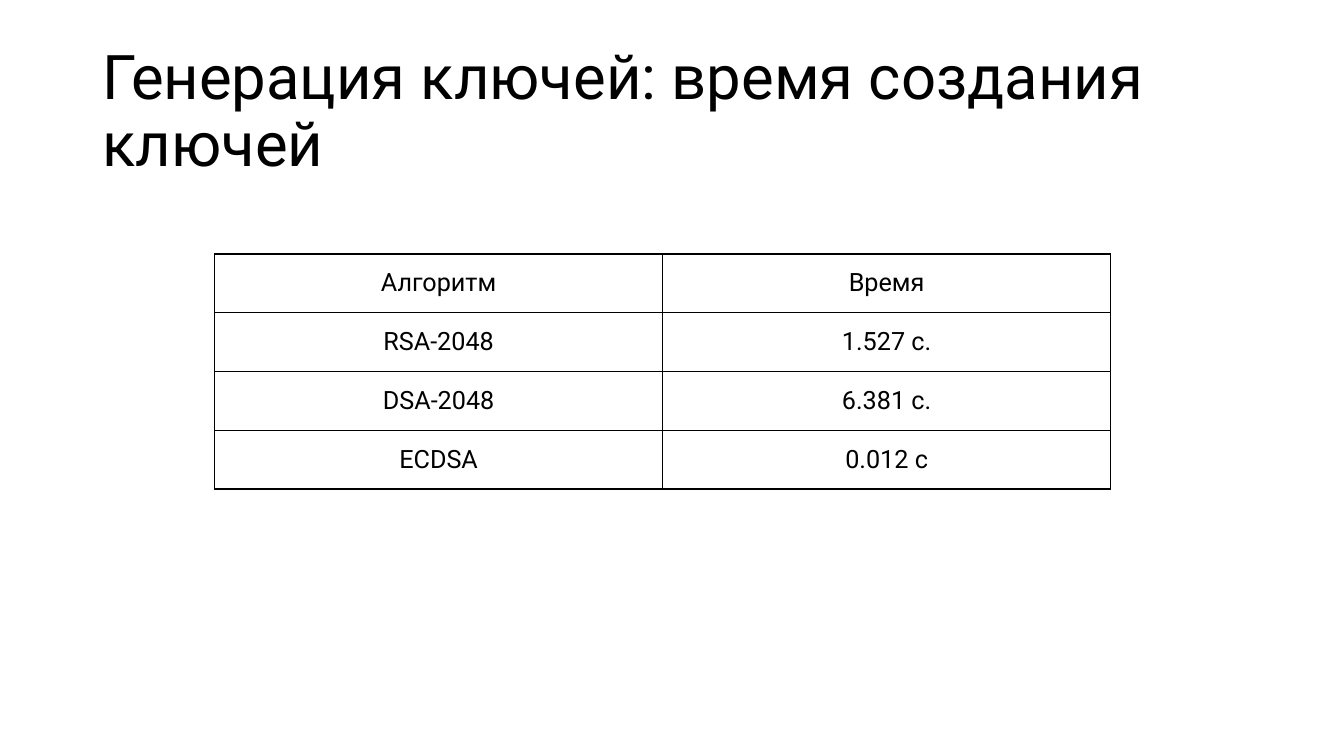
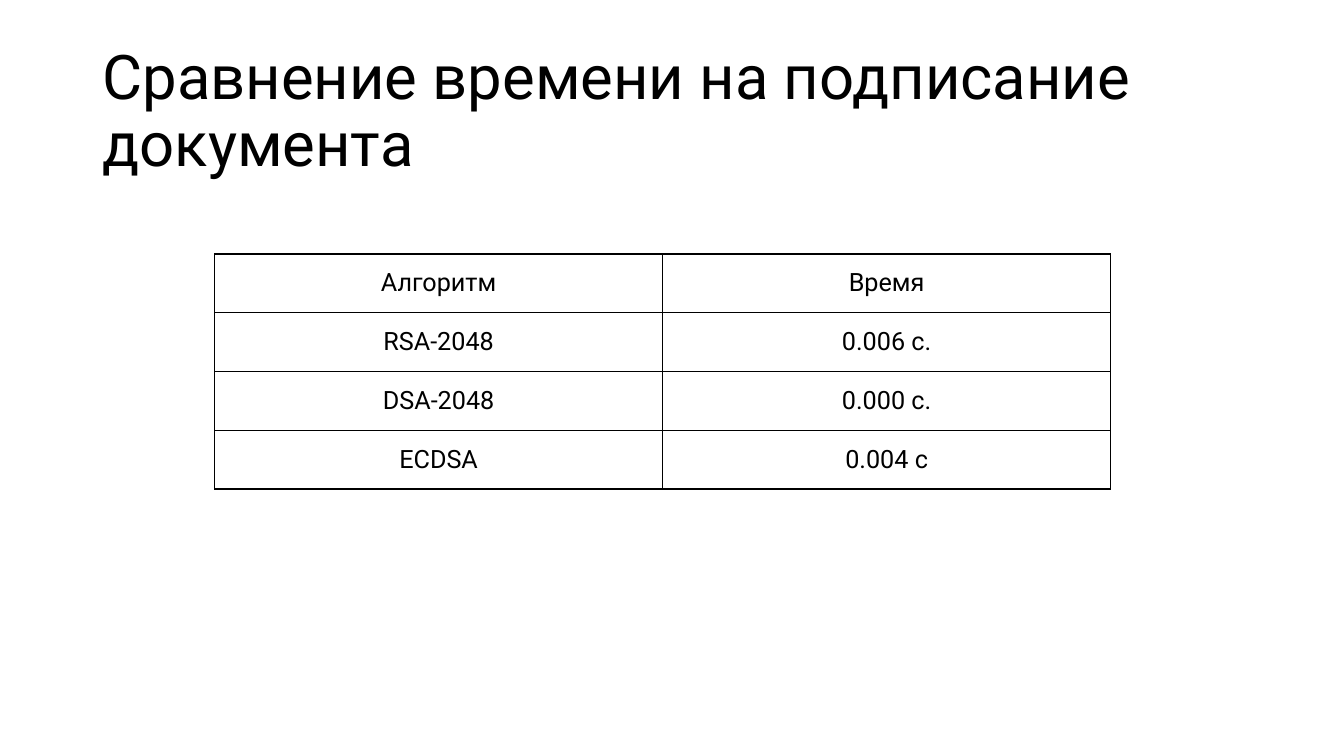
from lxml import etree
from pptx import Presentation
from pptx.dml.color import RGBColor
from pptx.enum.text import MSO_ANCHOR, MSO_AUTO_SIZE, PP_ALIGN
from pptx.oxml.ns import qn
from pptx.util import Cm, Pt

MIDDLE = MSO_ANCHOR.MIDDLE
NO_AUTOFIT = MSO_AUTO_SIZE.NONE
LEFT, CENTER = PP_ALIGN.LEFT, PP_ALIGN.CENTER

# Shared style; boxes are left, top, width, height in centimetres
FONT = "Roboto"
BLACK, WHITE = "000000", "FFFFFF"
TITLE_SIZE, CELL_SIZE = 44, 18
BORDER_WIDTH = 1
SLIDE_WIDTH, SLIDE_HEIGHT = 33.87, 19.05
TITLE_BOX = (2.33, 1.01, 29.21, 3.68)
TABLE_BOX = (5.41, 6.4, 22.58, 5.92)
TITLE_ONLY_LAYOUT = 5

# Slide content
HEADER = ("Алгоритм", "Время")
ALGORITHMS = ("RSA-2048", "DSA-2048", "ECDSA")
SLIDES = (
    ("Генерация ключей: время создания ключей",
     ("1.527 с.", "6.381 с.", "0.012 с")),
    ("Сравнение времени на подписание документа",
     ("0.006 с.", "0.000 с.", "0.004 с")),
)


def color(hex_value):
    return RGBColor.from_string(hex_value)


def add_text(paragraph, text, size, alignment):
    paragraph.alignment = alignment
    run = paragraph.add_run()
    run.text = text
    run.font.name = FONT
    run.font.size = Pt(size)
    run.font.color.rgb = color(BLACK)


def set_borders(cell):
    properties = cell._tc.get_or_add_tcPr()
    for side in ("a:lnL", "a:lnR", "a:lnT", "a:lnB"):
        line = etree.SubElement(properties, qn(side), w=str(Pt(BORDER_WIDTH)))
        fill = etree.SubElement(line, qn("a:solidFill"))
        etree.SubElement(fill, qn("a:srgbClr"), val=BLACK)


def place_title(slide, text, box):
    title = slide.shapes.title
    title.left, title.top, title.width, title.height = map(Cm, box)
    frame = title.text_frame
    frame.word_wrap = True
    frame.auto_size = NO_AUTOFIT
    frame.vertical_anchor = MIDDLE
    paragraph = frame.paragraphs[0]
    paragraph.line_spacing = 0.9
    add_text(paragraph, text, TITLE_SIZE, LEFT)


def add_time_table(slide, rows, box):
    left, top, width, height = map(Cm, box)
    table = slide.shapes.add_table(
        len(rows), len(rows[0]), left, top, width, height).table
    table.first_row = False
    table.horz_banding = False
    for row_index, row in enumerate(rows):
        for column_index, text in enumerate(row):
            cell = table.cell(row_index, column_index)
            # Borders come before the fill in the cell properties
            set_borders(cell)
            cell.fill.solid()
            cell.fill.fore_color.rgb = color(WHITE)
            cell.vertical_anchor = MIDDLE
            add_text(cell.text_frame.paragraphs[0], text, CELL_SIZE, CENTER)


def add_time_slide(presentation, title, times):
    layout = presentation.slide_layouts[TITLE_ONLY_LAYOUT]
    slide = presentation.slides.add_slide(layout)
    place_title(slide, title, TITLE_BOX)
    add_time_table(slide, [HEADER, *zip(ALGORITHMS, times)], TABLE_BOX)


def main():
    presentation = Presentation()
    presentation.slide_width = Cm(SLIDE_WIDTH)
    presentation.slide_height = Cm(SLIDE_HEIGHT)
    for title, times in SLIDES:
        add_time_slide(presentation, title, times)
    presentation.save("out.pptx")


if __name__ == "__main__":
    main()
